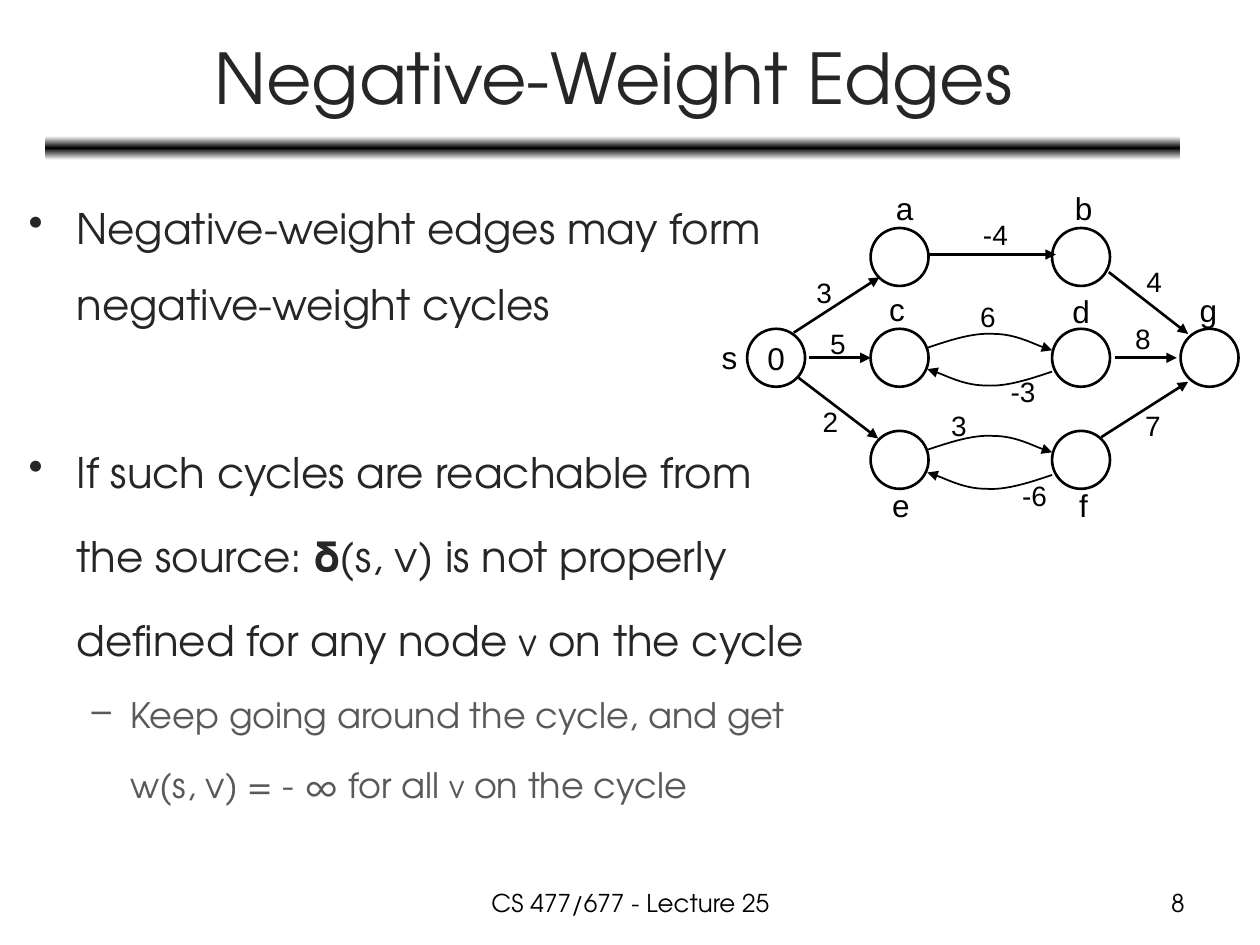
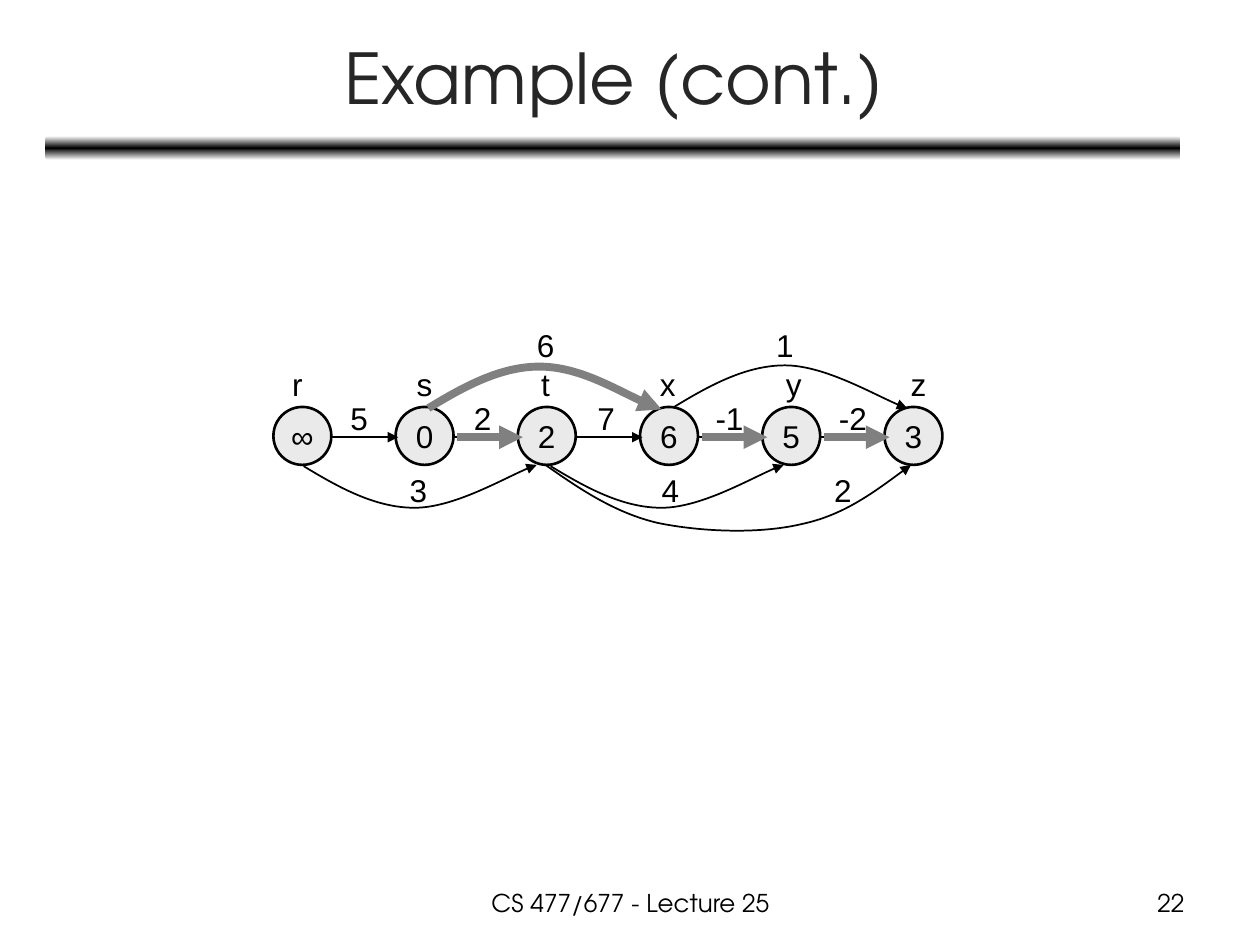
from copy import deepcopy
from lxml.etree import SubElement
from pptx import Presentation
from pptx.dml.color import RGBColor
from pptx.enum.shapes import MSO_CONNECTOR, MSO_SHAPE
from pptx.enum.text import MSO_ANCHOR, MSO_AUTO_SIZE, PP_ALIGN
from pptx.oxml.ns import qn
from pptx.util import Inches, Pt

WIDE, HIGH = 10, 7.5
HEAD, SANS, HAND = "TeX Gyre Adventor", "Arial", "Comic Neue"
BLACK, WHITE, DARK, GREY = "000000", "FFFFFF", "262626", "808080"
SOFT, PALE = "595959", "EAEAEA"
SIZE = 0.46
rgb = RGBColor.from_string


def ink(para, text, size, hue=BLACK, font=SANS, align=PP_ALIGN.CENTER):
    para.alignment = align
    run = para.add_run()
    run.text = text
    run.font.size, run.font.name = Pt(size), font
    run.font.color.rgb = rgb(hue)


def edge(page, spots, width, hue=BLACK):
    spots = [(Inches(x), Inches(y)) for x, y in spots]
    if len(spots) == 2:
        line = page.shapes.add_connector(MSO_CONNECTOR.STRAIGHT, *spots[0], *spots[1])
    else:
        pen = page.shapes.build_freeform(*spots[0], scale=1.0)
        pen.add_line_segments(spots[1:], close=False)
        line = pen.convert_to_shape()
        line.fill.background()
        legs = line._element.findall(".//" + qn("a:lnTo"))
        for one, two, end in zip(legs[::3], legs[1::3], legs[2::3]):
            one.tag = qn("a:cubicBezTo")
            for leg in (two, end):
                one.append(leg[0])
                leg.getparent().remove(leg)
    line.line.color.rgb = rgb(hue)
    line.line.width = Pt(width)
    props = line._element.spPr
    SubElement(props.find(qn("a:ln")), qn("a:tailEnd"), type="triangle")
    SubElement(props, qn("a:effectLst"))


deck = Presentation()
deck.slide_width, deck.slide_height = Inches(WIDE), Inches(HIGH)
pages = []
for name, num in (("Negative-Weight Edges", "8"), ("Example (cont.)", "22")):
    page = deck.slides.add_slide(deck.slide_layouts[5])
    pages.append(page)

    band = page.shapes.add_shape(
        MSO_SHAPE.ROUNDED_RECTANGLE, *map(Inches, (0.36, 1.08, 9.01, 0.19)))
    band.shadow.inherit = False
    band.line.fill.background()
    band.fill.gradient()
    band.fill.gradient_angle = 90
    stops = band._element.find(".//" + qn("a:gsLst"))
    stops.append(deepcopy(stops[0]))
    for stop, hue, part in zip(band.fill.gradient_stops, (WHITE, BLACK, WHITE), (0, 0.5, 1)):
        stop.color.rgb = rgb(hue)
        stop.position = part

    title = page.shapes.title
    title.left, title.top, title.width, title.height = map(Inches, (0.37, 0.11, 9, 0.99))
    frame = title.text_frame
    frame.auto_size = MSO_AUTO_SIZE.NONE
    frame.vertical_anchor = MSO_ANCHOR.MIDDLE
    ink(frame.paragraphs[0], name, 40, DARK, HEAD)

    for text, left, width, align in (
            ("CS 477/677 - Lecture 25", 3.42, 3.17, PP_ALIGN.CENTER),
            (num, 7.17, 2.33, PP_ALIGN.RIGHT)):
        foot = page.shapes.add_textbox(*map(Inches, (left, 7, width, 0.35)))
        foot.text_frame.word_wrap = True
        ink(foot.text_frame.paragraphs[0], text, 14, BLACK, HEAD, align)

first, last = pages

body = first.shapes.add_textbox(*map(Inches, (0.13, 1.36, 6.84, 5.55))).text_frame
body.word_wrap = True
points = (
    ("•", 24, 0, ["Negative-weight edges may form negative-weight cycles"]),
    ("•", 24, 53, ["If such cycles are reachable from"]),
    ("", 24, 4.8, ["the source: 𝛅(s, v) is not properly"]),
    ("", 24, 4.8, ["defined for any node ", "v", " on the cycle"]),
    ("–", 20, 4, ["Keep going around the cycle, and get"]),
    ("", 20, 4, ["w(s, v) = - ∞ for all ", "v", " on the cycle"]),
)
for row, (mark, size, gap, parts) in enumerate(points):
    para = body.add_paragraph() if row else body.paragraphs[0]
    para.line_spacing, para.space_before = 1.5, Pt(gap)
    left, hang, hue = (0.38, 0.38, DARK) if size == 24 else (0.81, 0.31, SOFT)
    props = para._p.get_or_add_pPr()
    props.set("marL", str(Inches(left)))
    props.set("indent", str(-Inches(hang) if mark else 0))
    if mark:
        SubElement(props, qn("a:buChar"), char=mark)
    else:
        SubElement(props, qn("a:buNone"))
    for part in parts:
        ink(para, part, size, hue, HAND if part == "v" else HEAD, PP_ALIGN.LEFT)

cols, rows = (5.93, 6.91, 8.35, 9.37), (1.81, 2.61, 3.42)
nodes = [(first, cols[0], rows[1], "0", None), (first, cols[3], rows[1], "", None)]
nodes += [(first, x, y, "", None) for y in rows for x in cols[1:3]]
step, left, top = 0.97, 2.17, 3.23
nodes += [(last, left + step * i, top, text, PALE) for i, text in enumerate("∞02653")]
for page, x, y, text, fill in nodes:
    node = page.shapes.add_shape(MSO_SHAPE.OVAL, *map(Inches, (x, y, SIZE, SIZE)))
    node.shadow.inherit = False
    if fill:
        node.fill.solid()
        node.fill.fore_color.rgb = rgb(fill)
    else:
        node.fill.background()
    node.line.color.rgb = rgb(BLACK)
    node.line.width = Pt(1.5)
    if text:
        node.text_frame.word_wrap = False
        node.text_frame.vertical_anchor = MSO_ANCHOR.MIDDLE
        ink(node.text_frame.paragraphs[0], text, 18)

for x, y, tox, toy in (
        (7.37, 2.02, 8.38, 2.02), (6.3, 2.64, 6.98, 2.2), (6.34, 3, 6.97, 3.48),
        (8.8, 2.16, 9.43, 2.65), (8.74, 3.47, 9.43, 3.03),
        (6.42, 2.84, 6.91, 2.84), (8.85, 2.84, 9.34, 2.84)):
    edge(first, [(x, y), (tox, toy)], 1.5)

bend = ((0, 0), (0.18, -0.06), (0.36, -0.12), (0.52, -0.11),
        (0.69, -0.11), (0.91, 0), (0.99, 0.02))
for x, y, turn in ((7.36, 2.76, 1), (8.35, 2.95, -1), (7.36, 3.57, 1), (8.35, 3.77, -1)):
    edge(first, [(x + turn * dx, y + turn * dy) for dx, dy in bend], 1)

for i in range(5):
    x = left + SIZE + step * i
    edge(last, [(x, 3.47), (x + 0.53, 3.47)], 1)

arc = ((0, 0), (0.28, -0.17), (0.57, -0.33), (0.88, -0.33),
       (1.19, -0.33), (1.69, -0.04), (1.85, 0.01))
for x, y, flip in ((3.39, 3.23, 1), (5.35, 3.23, 1), (4.37, 3.7, -1), (2.41, 3.7, -1)):
    edge(last, [(x + dx, y + flip * dy) for dx, dy in arc], 1)
edge(last, [(4.33, 3.69), (4.6, 3.88), (4.88, 4.07), (5.22, 4.15), (5.56, 4.22),
            (6.02, 4.24), (6.36, 4.16), (6.69, 4.09), (6.96, 3.89), (7.23, 3.69)], 1)

tags = [(first, 16, *tag) for tag in (
    ("3", 6.54, 2.14), ("-4", 7.9, 1.68), ("2", 6.59, 3.16), ("8", 9.07, 2.5),
    ("-6", 8.21, 3.75), ("-3", 8.12, 2.92), ("3", 7.61, 3.19), ("5", 6.65, 2.54),
    ("6", 7.84, 2.33), ("4", 9.16, 2.05), ("7", 9.15, 3.19))]
tags += [(first, 18, *tag) for tag in (
    ("s", 5.79, 2.63), ("a", 7.18, 1.45), ("b", 8.6, 1.45), ("c", 7.12, 2.25),
    ("d", 8.58, 2.27), ("e", 7.15, 3.81), ("f", 8.6, 3.81), ("g", 9.59, 2.26))]
tags += [(last, 18, text, x, 2.85) for text, x in
         zip("rstxyz", (2.36, 3.37, 4.33, 5.3, 6.3, 7.29))]
tags += [(last, 18, text, 2.85 + 0.98 * i, 3.12)
         for i, text in enumerate(("5", "2", "7", "-1", "-2"))]
tags += [(last, 18, *tag) for tag in (
    ("6", 4.33, 2.54), ("1", 6.23, 2.54),
    ("3", 3.32, 3.69), ("4", 5.32, 3.69), ("2", 6.69, 3.69))]
for page, size, text, x, y in tags:
    width = 0.42 if len(text) > 1 else 0.34
    tag = page.shapes.add_textbox(*map(Inches, (x - width / 2, y, width, 0.4)))
    tag.text_frame.word_wrap = False
    ink(tag.text_frame.paragraphs[0], text, size)

for i in (1, 3, 4):
    x = left + SIZE + step * i + 0.03
    edge(last, [(x, 3.47), (x + 0.52, 3.47)], 4.5, GREY)
edge(last, [(3.4 + dx, 3.24 + dy) for dx, dy in arc], 4.5, GREY)

deck.save("out.pptx")
